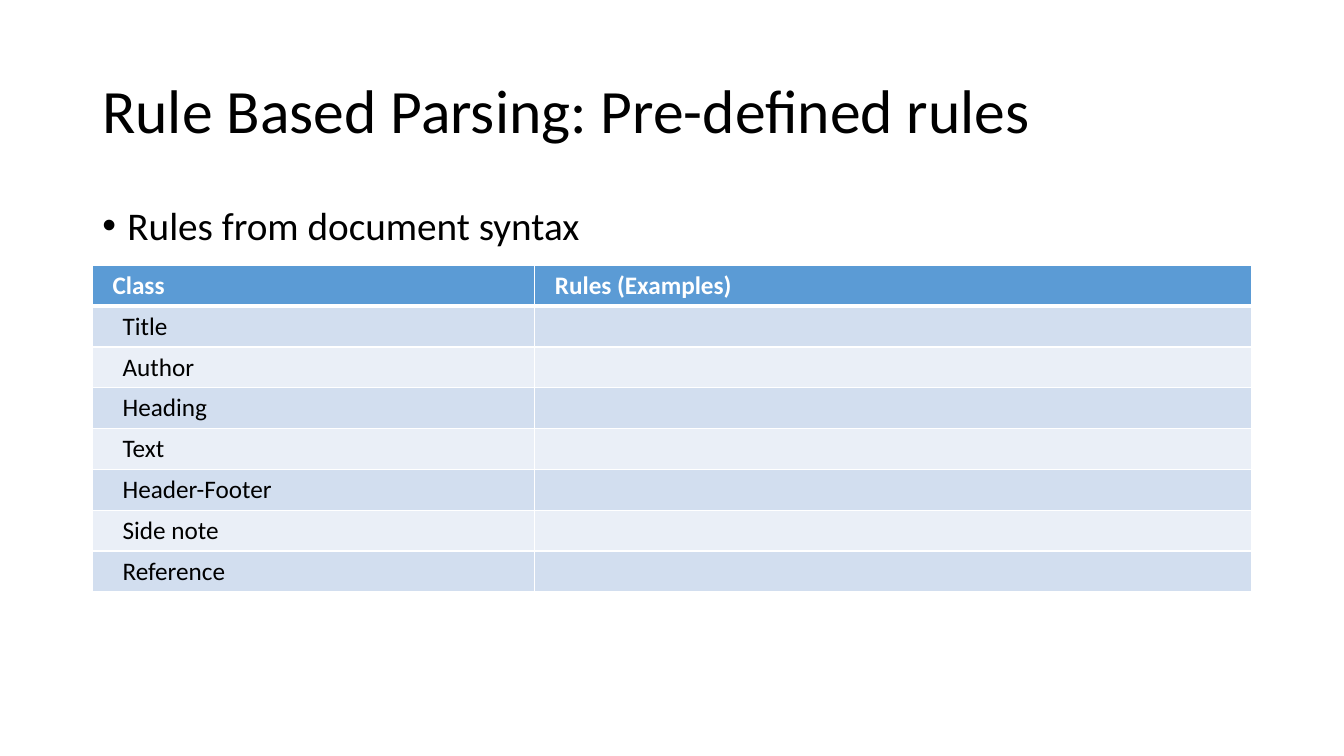
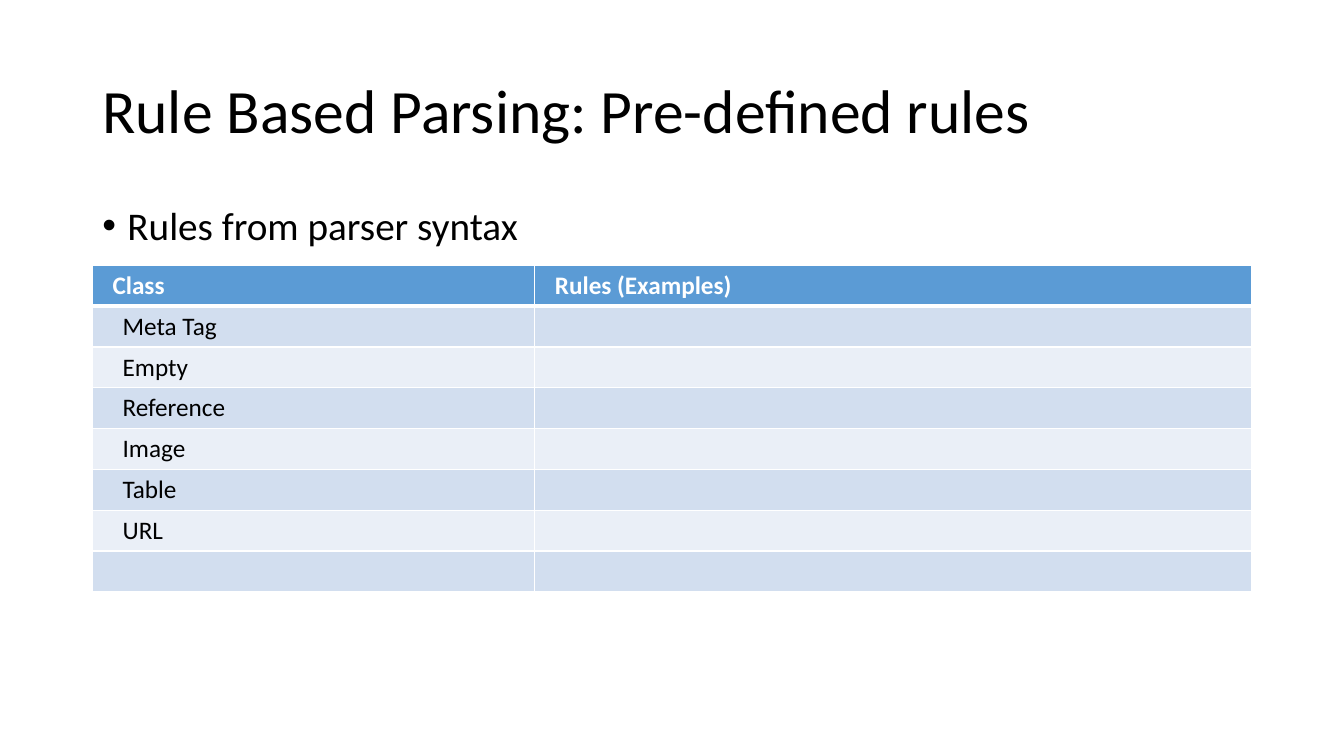
from lxml.etree import SubElement as Sub
from pptx import Presentation
from pptx.dml.color import RGBColor as RGB
from pptx.enum.text import MSO_ANCHOR as Anchor
from pptx.oxml.ns import qn
from pptx.util import Pt

# Shared style
FONT = "Calibri"
BLACK = RGB(0x00, 0x00, 0x00)
WHITE = RGB(0xFF, 0xFF, 0xFF)
BLUE = RGB(0x5B, 0x9B, 0xD5)
BANDS = [RGB(0xEA, 0xEF, 0xF7), RGB(0xD2, 0xDE, 0xEF)]
LEFT, WIDTH = Pt(66), Pt(828)
COLS = [Pt(316), Pt(512)]
ROW = Pt(29.16)

# Content
TITLE = "Rule Based Parsing: Pre-defined rules"
HEAD = ["Class", "Rules (Examples)"]
PAGES = [
    ("Rules from document syntax",
     ["Title", "Author", "Heading", "Text", "Header-Footer", "Side note",
      "Reference"]),
    ("Rules from parser syntax",
     ["Meta Tag", "Empty", "Reference", "Image", "Table", "URL", ""]),
]


def add_text(slide, text, top, height, size):
    box = slide.shapes.add_textbox(LEFT, Pt(top), WIDTH, Pt(height))
    frame = box.text_frame
    frame.word_wrap = True
    frame.text = text
    para = frame.paragraphs[0]
    para.line_spacing = 0.9
    font = para.runs[0].font
    font.name, font.size, font.color.rgb = FONT, Pt(size), BLACK
    return frame


def add_edge(cell, side, width):
    props = cell._tc.get_or_add_tcPr()
    line = Sub(props, qn("a:ln" + side), w=str(Pt(width)))
    fill = Sub(line, qn("a:solidFill"))
    Sub(fill, qn("a:srgbClr"), val=str(WHITE))


prs = Presentation()
prs.slide_width, prs.slide_height = Pt(960), Pt(540)

for lead, names in PAGES:
    slide = prs.slides.add_slide(prs.slide_layouts[6])

    # Title
    frame = add_text(slide, TITLE, 28.8, 104.4, 44)
    frame.vertical_anchor = Anchor.MIDDLE

    # Bullet line
    para = add_text(slide, lead, 144, 342.6, 28).paragraphs[0]
    para.space_before = Pt(10)
    props = para._p.get_or_add_pPr()
    props.set("marL", str(Pt(18)))
    props.set("indent", str(Pt(-18)))
    Sub(props, qn("a:buFont"), typeface="Arial")
    Sub(props, qn("a:buChar"), char="•")

    # Table of classes
    rows = [HEAD] + [[name, ""] for name in names]
    table = slide.shapes.add_table(
        len(rows), len(COLS), LEFT, Pt(189.6), WIDTH, ROW * len(rows)).table
    for col, width in zip(table.columns, COLS):
        col.width = width
    for r, row in enumerate(rows):
        table.rows[r].height = ROW
        for c, text in enumerate(row):
            cell = table.cell(r, c)
            cell.margin_left = cell.margin_right = Pt(21.6 if r else 14.4)
            for side in "LRTB":
                thick = (r, side) in [(0, "B"), (1, "T")]
                add_edge(cell, side, 3 if thick else 1)
            cell.fill.solid()
            cell.fill.fore_color.rgb = BANDS[r % 2] if r else BLUE
            cell.text_frame.text = text
            for run in cell.text_frame.paragraphs[0].runs:
                font = run.font
                font.name, font.size, font.bold = FONT, Pt(18), r == 0
                font.color.rgb = BLACK if r else WHITE

prs.save("out.pptx")
